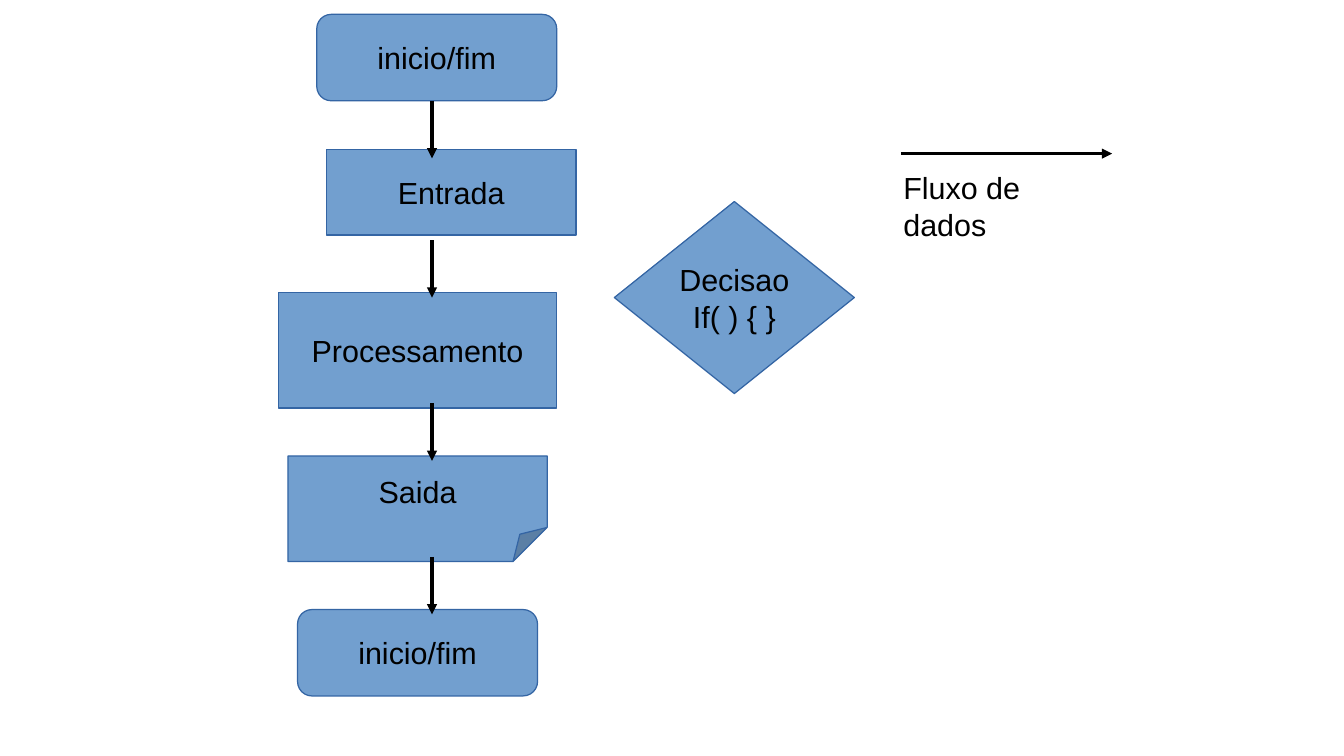
from lxml import etree
from pptx import Presentation
from pptx import util as u
from pptx.dml.color import RGBColor
from pptx.enum import shapes, text
from pptx.oxml.ns import qn

KIND = shapes.MSO_SHAPE
COLORS = {"fill": "729FCF", "edge": "3465A4", "ink": "000000"}
FONT, SIZE = "Arial", 18
HAIR = u.Pt(0)  # thinnest line

# kind, text, left, top, width, height in cm
STEPS = [
    (KIND.ROUNDED_RECTANGLE, "inicio/fim", 6.6, 0.3, 5, 1.8),
    (KIND.RECTANGLE, "Entrada", 6.8, 3.12, 5.2, 1.78),
    (KIND.RECTANGLE, "Processamento", 5.8, 6.1, 5.8, 2.4),
    (KIND.DIAMOND, "Decisao\nIf( ) { }", 12.8, 4.2, 5, 4),
    (KIND.FOLDED_CORNER, "Saida", 6, 9.5, 5.4, 2.2),
    (KIND.ROUNDED_RECTANGLE, "inicio/fim", 6.2, 12.7, 5, 1.8),
]
FOLD = 32300  # share of the height, in 1/100000
FLOW_X, FLOW_LEN = 9, 1.2
FLOW_TOPS = [2.1, 5, 8.4, 11.6]
KEY_LINE = (18.77, 3.2, 23.17, 3.2)
KEY_TEXT, KEY_BOX = "Fluxo de dados", (18.57, 3.4, 4.7, 1.8)


def color(name):
    """Look up a named colour."""
    return RGBColor.from_string(COLORS[name])


def write(shape, words, align):
    """Fill a shape with text in the slide's font."""
    frame = shape.text_frame
    frame.text = words
    for para in frame.paragraphs:
        para.alignment = align
        for run in para.runs:
            run.font.name, run.font.size = FONT, u.Pt(SIZE)
            run.font.color.rgb = color("ink")
    return frame


def set_fold(step):
    """Set the size of a folded corner."""
    geom = step._element.spPr.find(qn("a:prstGeom"))
    etree.SubElement(geom.find(qn("a:avLst")), qn("a:gd"),
                     name="adj", fmla=f"val {FOLD}")


def add_step(slide, kind, words, *box):
    """Draw one flowchart symbol with its label."""
    step = slide.shapes.add_shape(kind, *map(u.Cm, box))
    step.shadow.inherit = False
    step.fill.solid()
    step.fill.fore_color.rgb = color("fill")
    step.line.color.rgb = color("edge")
    step.line.width = HAIR
    if kind == KIND.FOLDED_CORNER:
        set_fold(step)
    frame = write(step, words, text.PP_ALIGN.CENTER)
    frame.word_wrap = False
    frame.vertical_anchor = text.MSO_ANCHOR.MIDDLE


def add_arrow(slide, *ends):
    """Draw a straight arrow between two points."""
    arrow = slide.shapes.add_connector(
        shapes.MSO_CONNECTOR.STRAIGHT, *map(u.Cm, ends))
    arrow.line.color.rgb = color("ink")
    arrow.line.width = HAIR
    props = arrow._element.spPr
    etree.SubElement(props.find(qn("a:ln")), qn("a:tailEnd"), type="triangle")
    etree.SubElement(props, qn("a:effectLst"))


def add_key(slide):
    """Draw the arrow legend."""
    add_arrow(slide, *KEY_LINE)
    label = slide.shapes.add_textbox(*map(u.Cm, KEY_BOX))
    write(label, KEY_TEXT, text.PP_ALIGN.LEFT).word_wrap = True


deck = Presentation()
deck.slide_width, deck.slide_height = u.Cm(28), u.Cm(15.75)
slide = deck.slides.add_slide(deck.slide_layouts[6])
for step in STEPS:
    add_step(slide, *step)
for top in FLOW_TOPS:
    add_arrow(slide, FLOW_X, top, FLOW_X, top + FLOW_LEN)
add_key(slide)
deck.save("out.pptx")
